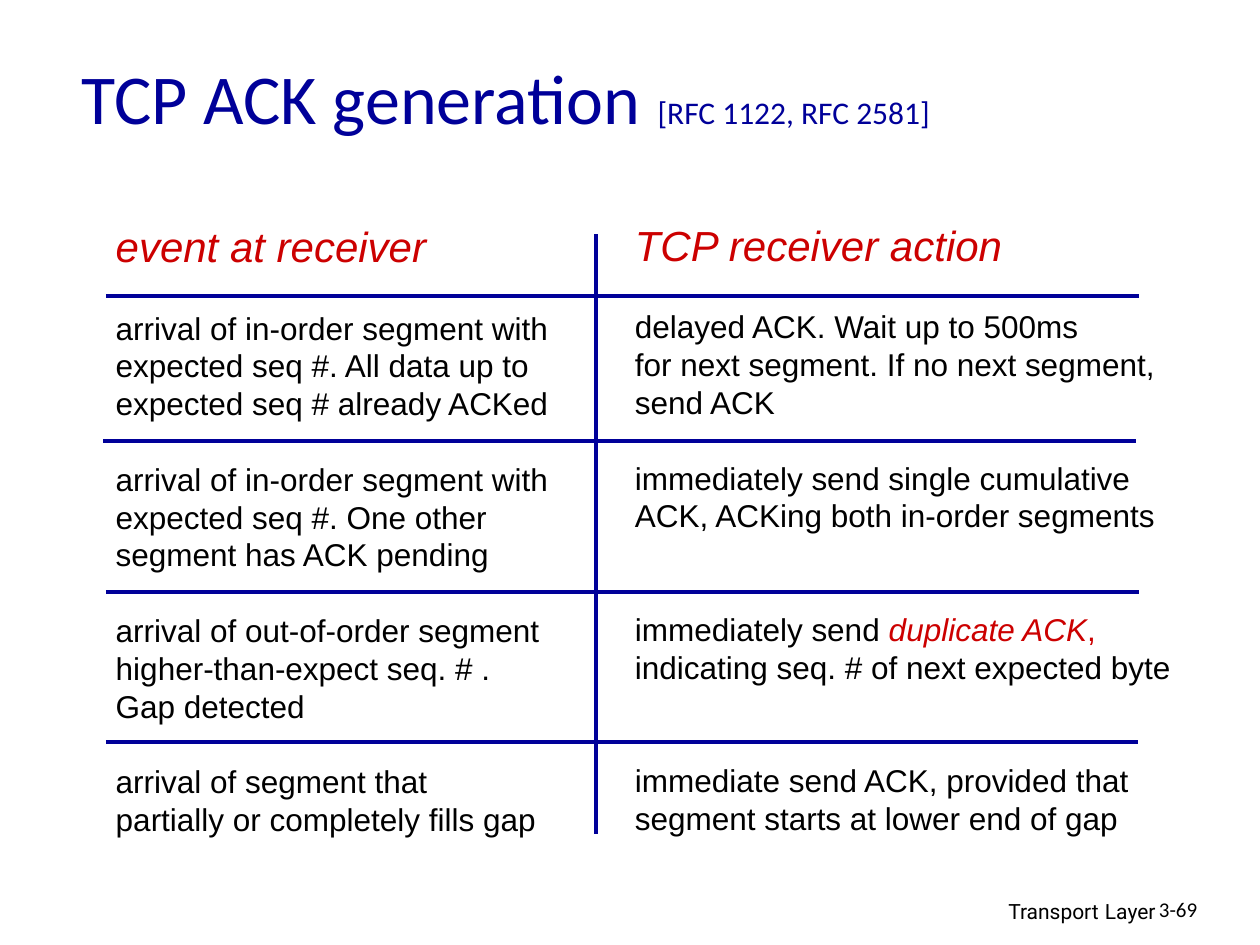
"""Build the TCP ACK generation slide: receiver events and actions on a ruled grid."""
from lxml import etree
from pptx import Presentation
from pptx import util as u
from pptx.dml.color import RGBColor
from pptx.enum import shapes, text
from pptx.oxml.ns import qn

PX = 9144
COLORS = {"navy": "000099", "red": "CC0000", "black": "000000"}
LEADING = 1.2

TITLE = [("TCP ACK generation", 40), (" ", 44), ("[RFC 1122, RFC 2581]", 18)]
FOOTER = [("Transport", 12), (" ", 14), ("Layer", 12)]
PAGE = [("3-69", 12)]

COLUMNS = [
    {"box": (82, 170, 365, 547), "head": "event at receiver", "rows": [
        ["arrival of in-order segment with", "expected seq #. All data up to",
         "expected seq # already ACKed"],
        ["arrival of in-order segment with", "expected seq #. One other",
         "segment has ACK pending"],
        ["arrival of out-of-order segment", "higher-than-expect seq. # .",
         "Gap detected"],
        ["arrival of segment that", "partially or completely fills gap"],
    ]},
    {"box": (494, 169, 445, 547), "head": "TCP receiver action", "rows": [
        ["delayed ACK. Wait up to 500ms", "for next segment. If no next segment,",
         "send ACK"],
        ["immediately send single cumulative", "ACK, ACKing both in-order segments"],
        [("immediately send ", "duplicate ACK", ","),
         "indicating seq. # of next expected byte"],
        ["immediate send ACK, provided that", "segment starts at lower end of gap"],
    ]},
]
ROW_LINES = 4
RULES = [
    (473, 186, 473, 662),
    (84, 235, 904, 235),
    (82, 350, 902, 350),
    (84, 470, 904, 470),
    (84, 589, 903, 589),
]


def px(values):
    return [u.Emu(v * PX) for v in values]


def rgb(name):
    return RGBColor.from_string(COLORS[name])


def style(font, name, color, size=None, italic=None):
    font.name = name
    font.color.rgb = rgb(color)
    if size:
        font.size = u.Pt(size)
    if italic is not None:
        font.italic = italic


def fill_line(p, runs, name, color):
    style(p.font, name, color)
    for words, size in runs:
        r = p.add_run()
        r.text = words
        r.font.size = u.Pt(size)


def add_label(s, box, runs, name, align):
    tf = s.shapes.add_textbox(*px(box)).text_frame
    tf.word_wrap = True
    p = tf.paragraphs[0]
    p.alignment = align
    fill_line(p, runs, name, "black")


def add_column(s, column):
    tf = s.shapes.add_textbox(*px(column["box"])).text_frame
    tf.word_wrap = False
    tf.auto_size = text.MSO_AUTO_SIZE.SHAPE_TO_FIT_TEXT
    p = tf.paragraphs[0]
    p.text = column["head"]
    p.line_spacing = u.Pt(24 * LEADING)
    style(p.font, "Arial", "red", 24, True)
    pitch = 18 * LEADING
    gap = 1
    for row in column["rows"]:
        for i, line in enumerate(row):
            p = tf.add_paragraph()
            p.line_spacing = u.Pt(pitch)
            if i == 0:
                p.space_before = u.Pt(gap * pitch)
            style(p.font, "Arial", "black", 18)
            if isinstance(line, str):
                p.text = line
                continue
            for words in line:
                p.add_run().text = words
            _, term, comma = p.runs
            term.font.italic = True
            term.font.color.rgb = comma.font.color.rgb = rgb("red")
        gap = ROW_LINES - len(row)


def add_rule(s, ends):
    line = s.shapes.add_connector(shapes.MSO_CONNECTOR.STRAIGHT, *px(ends))
    line.line.color.rgb = rgb("navy")
    line.line.width = u.Pt(2.25)
    etree.SubElement(line._element.spPr, qn("a:effectLst"))


def main():
    prs = Presentation()
    prs.slide_width, prs.slide_height = px((1000, 750))
    s = prs.slides.add_slide(prs.slide_layouts[5])

    title = s.shapes.title
    title.left, title.top, title.width, title.height = px((55, 38, 850, 73))
    tf = title.text_frame
    tf.auto_size = text.MSO_AUTO_SIZE.NONE
    tf.vertical_anchor = text.MSO_ANCHOR.MIDDLE
    p = tf.paragraphs[0]
    p.alignment = text.PP_ALIGN.LEFT
    fill_line(p, TITLE, "Calibri", "navy")

    add_label(s, (610, 705, 317, 31), FOOTER, "Roboto", text.PP_ALIGN.RIGHT)
    add_label(s, (910, 707, 74, 30), PAGE, "Calibri", text.PP_ALIGN.LEFT)
    for column in COLUMNS:
        add_column(s, column)
    for ends in RULES:
        add_rule(s, ends)
    prs.save("out.pptx")


if __name__ == "__main__":
    main()
